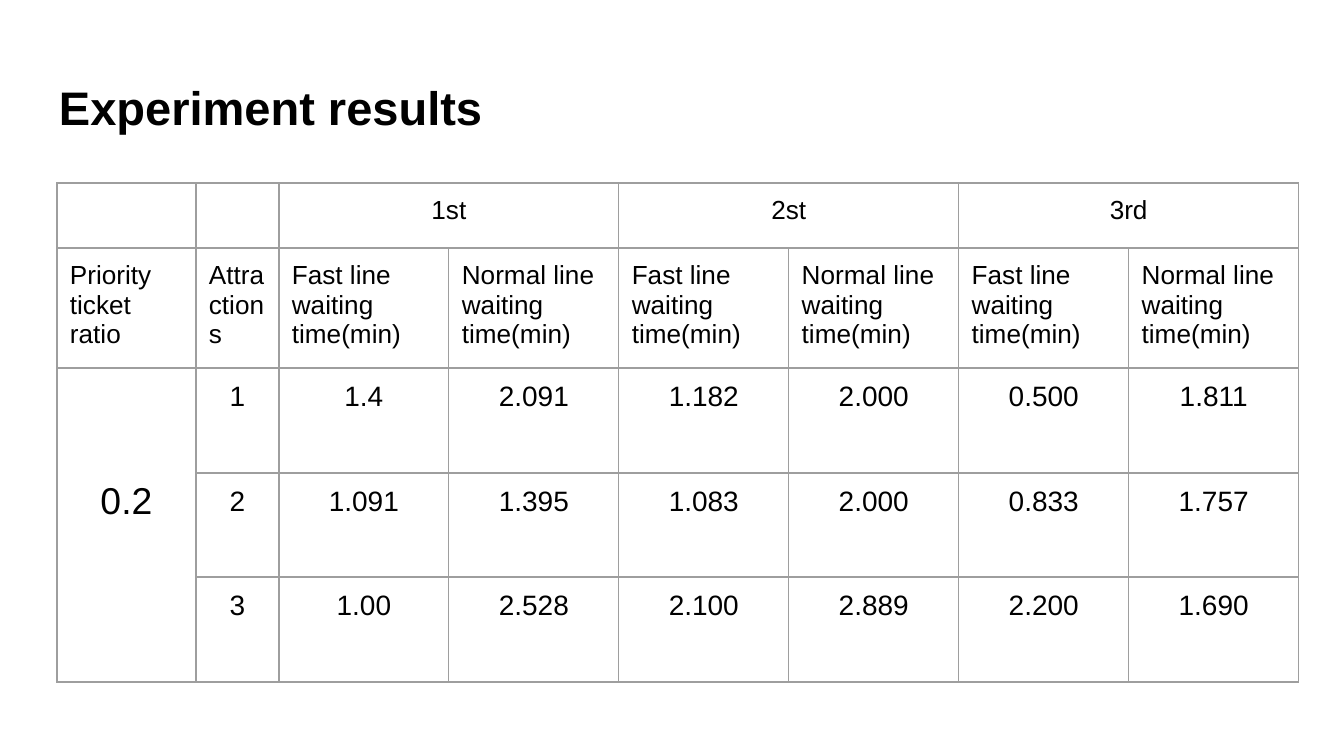
from lxml import etree
from pptx import Presentation
from pptx.dml.color import RGBColor
from pptx.enum.text import MSO_ANCHOR, PP_ALIGN
from pptx.oxml.ns import qn
from pptx.util import Emu, Pt

LEFT, CENTER = PP_ALIGN.LEFT, PP_ALIGN.CENTER
TOP, MIDDLE = MSO_ANCHOR.TOP, MSO_ANCHOR.MIDDLE
SCALE = 914400 / 134.4
PAD = 13
BLACK, GRAY = "000000", "9E9E9E"
COLS = [139, 83] + [170] * 6
ROWS = [65, 56, 105, 104, 105]
RUNS = ["1st", "2st", "3rd"]
LINES = ["Fast line waiting time(min)", "Normal line waiting time(min)"]
TIMES = [
    ["1", "1.4", "2.091", "1.182", "2.000", "0.500", "1.811"],
    ["2", "1.091", "1.395", "1.083", "2.000", "0.833", "1.757"],
    ["3", "1.00", "2.528", "2.100", "2.889", "2.200", "1.690"],
]


def px(count):
    return Emu(round(count * SCALE))


def color(code):
    return RGBColor.from_string(code)


def set_all(item, **values):
    for name, value in values.items():
        setattr(item, name, value)


def write(frame, text, size, align=LEFT, bold=False):
    para = frame.paragraphs[0]
    para.alignment = align
    set_all(para.font, name="Arial", size=Pt(size), bold=bold)
    para.font.color.rgb = color(BLACK)
    if text:
        run = para.add_run()
        run.text = text
        set_all(run.font, name="Arial", size=Pt(size), bold=bold)
        run.font.color.rgb = color(BLACK)


def add_title(slide, text):
    box = slide.shapes.add_textbox(px(46), px(64), px(1253), px(85))
    frame = box.text_frame
    set_all(frame, word_wrap=True, vertical_anchor=MIDDLE,
            margin_left=px(PAD), margin_right=px(PAD),
            margin_top=px(PAD), margin_bottom=px(PAD))
    write(frame, text, 25.2, bold=True)


def style(cell):
    set_all(cell, vertical_anchor=TOP,
            margin_left=px(PAD), margin_right=px(PAD),
            margin_top=px(PAD), margin_bottom=px(PAD))
    props = cell._tc.get_or_add_tcPr()
    for side in ("lnL", "lnR", "lnT", "lnB"):
        line = etree.SubElement(props, qn(f"a:{side}"), w=str(Pt(0.75)))
        fill = etree.SubElement(line, qn("a:solidFill"))
        etree.SubElement(fill, qn("a:srgbClr"), val=GRAY)
    cell.fill.background()


def add_grid(slide):
    shape = slide.shapes.add_table(
        len(ROWS), len(COLS), px(57), px(183), px(sum(COLS)), px(sum(ROWS)))
    grid = shape.table
    set_all(grid, first_row=False, horz_banding=False)
    for col, width in zip(grid.columns, COLS):
        col.width = px(width)
    for row, height in zip(grid.rows, ROWS):
        row.height = px(height)
    for cell in grid.iter_cells():
        style(cell)
    return grid


def fill_grid(grid):
    heads = ["", ""] + [part for run in RUNS for part in (run, "")]
    names = ["Priority ticket ratio", "Attractions"] + LINES * len(RUNS)
    body = [["0.2" if i == 0 else ""] + row for i, row in enumerate(TIMES)]
    for r, row in enumerate([heads, names] + body):
        for c, text in enumerate(row):
            size = 14 if r < 2 else 20 if c == 0 else 15
            align = LEFT if r == 1 else CENTER
            write(grid.cell(r, c).text_frame, text, size, align)
    for c in range(2, len(COLS), 2):
        grid.cell(0, c).merge(grid.cell(0, c + 1))
    ratio = grid.cell(2, 0)
    ratio.merge(grid.cell(4, 0))
    set_all(ratio, vertical_anchor=MIDDLE, margin_bottom=px(60))


def main():
    deck = Presentation()
    set_all(deck, slide_width=px(1344), slide_height=px(756))
    slide = deck.slides.add_slide(deck.slide_layouts[6])
    add_title(slide, "Experiment results")
    fill_grid(add_grid(slide))
    deck.save("out.pptx")


if __name__ == "__main__":
    main()
